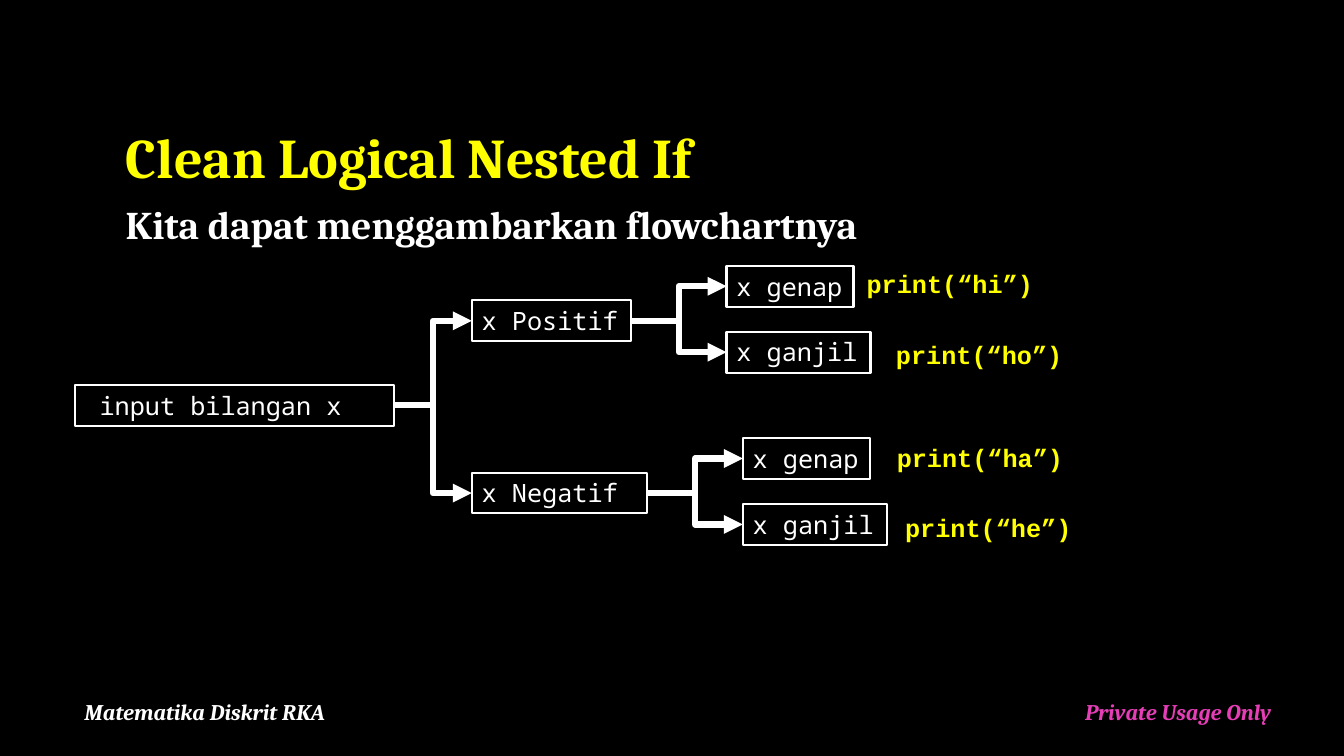
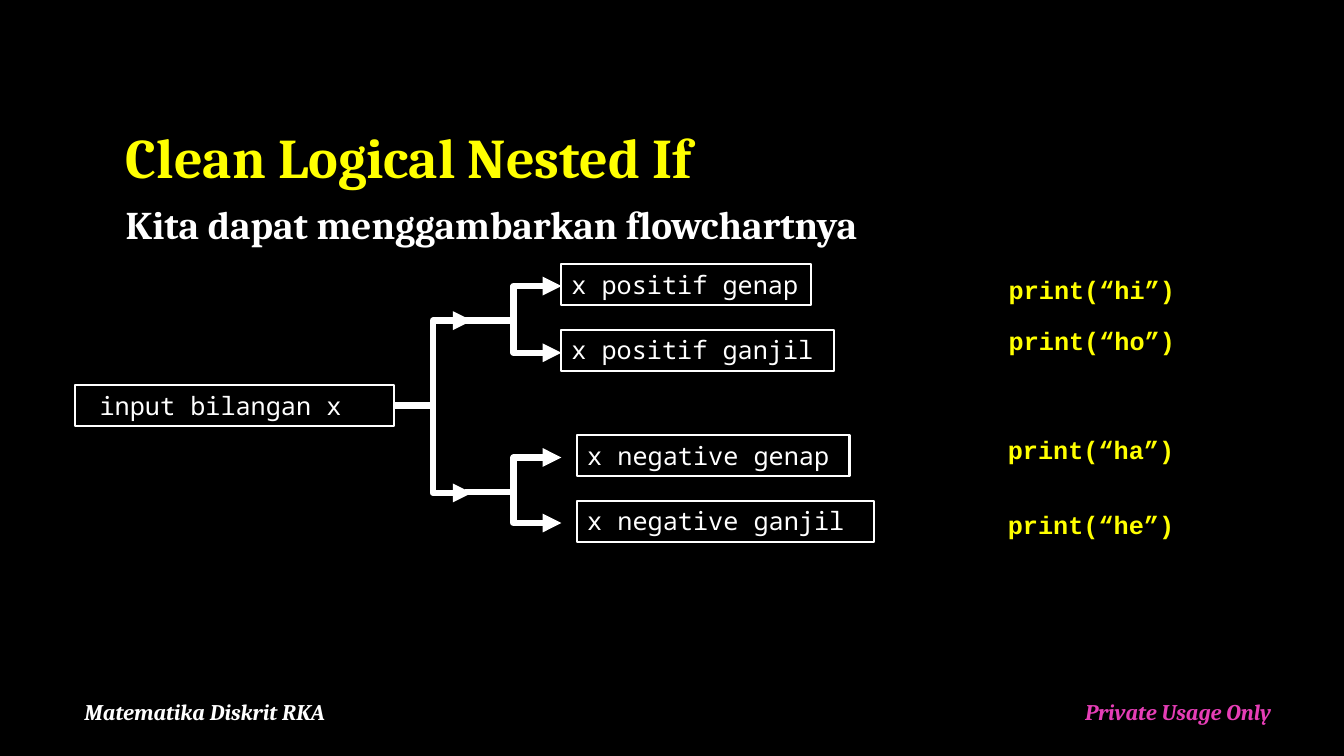
from dataclasses import dataclass
from typing import NamedTuple

from lxml.etree import SubElement
from pptx import Presentation
from pptx.dml.color import RGBColor
from pptx.enum.shapes import MSO_CONNECTOR, MSO_SHAPE
from pptx.enum.text import MSO_ANCHOR, MSO_AUTO_SIZE as AutoSize, PP_ALIGN
from pptx.oxml.ns import qn
from pptx.shapes.autoshape import Shape
from pptx.slide import Slide
from pptx.text.text import TextFrame
from pptx.util import Cm, Length, Pt


@dataclass(frozen=True)
class TextStyle:
    font: str
    size: int
    color: RGBColor
    bold: bool = True
    italic: bool = False
    line_spacing: float = 1.0
    space_before: int = 0


WHITE, YELLOW = RGBColor(0xFF, 0xFF, 0xFF), RGBColor(0xFF, 0xFF, 0x00)
PINK = RGBColor(0xE6, 0x3E, 0xB6)
SERIF = "Cambria"


@dataclass(frozen=True)
class Theme:
    background: RGBColor = RGBColor(0x00, 0x00, 0x00)
    line: RGBColor = WHITE
    box_line: Length = Pt(1.5)
    arrow_line: Length = Pt(4.5)
    title: TextStyle = TextStyle(SERIF, 40, YELLOW, line_spacing=0.9)
    subtitle: TextStyle = TextStyle(SERIF, 28, WHITE)
    course: TextStyle = TextStyle(SERIF, 16, WHITE, True, True, 0.9, 10)
    usage: TextStyle = TextStyle(SERIF, 16, PINK, True, True, 0.9, 10)
    condition: TextStyle = TextStyle("Noto Sans Mono", 18, WHITE, bold=False)
    output: TextStyle = TextStyle("Courier New", 18, YELLOW)


THEME = Theme()
ROW_HEIGHT = Cm(1.03)
INSET = Cm(0.25)
BOTTOM, LEFT, RIGHT = 2, 1, 3


class Point(NamedTuple):
    x: Length
    y: Length


@dataclass(frozen=True)
class Condition:
    text: str
    left: float
    top: float
    width: float
    inset: Length = INSET


@dataclass(frozen=True)
class Output:
    text: str
    left: float
    top: float


INPUT = Condition("input bilangan x", 1.88, 9.7, 8.05, inset=Cm(0.63))
SIGNS = (
    Condition("x Positif", 11.89, 7.57, 4.01),
    Condition("x Negatif", 11.89, 11.91, 4.42),
)
PARITIES = (
    (Condition("x genap", 18.31, 6.7, 3.2), Condition("x ganjil", 18.31, 8.36, 3.63)),
    (Condition("x genap", 18.72, 11.04, 3.2), Condition("x ganjil", 18.72, 12.7, 3.63)),
)
NESTED_OUTPUTS = (
    Output("print(“hi”)", 21.59, 6.63),
    Output("print(“ho”)", 22.33, 8.43),
    Output("print(“ha”)", 22.35, 11.02),
    Output("print(“he”)", 22.56, 12.78),
)
COMBINED = (
    Condition("x positif genap", 14.15, 6.65, 6.3),
    Condition("x positif ganjil", 14.15, 8.31, 6.86),
    Condition("x negative genap", 14.55, 10.97, 6.86),
    Condition("x negative ganjil", 14.55, 12.62, 7.47),
)
COMBINED_OUTPUTS = (
    Output("print(“hi”)", 25.17, 6.78),
    Output("print(“ho”)", 25.17, 8.08),
    Output("print(“ha”)", 25.15, 10.82),
    Output("print(“he”)", 25.15, 12.7),
)
SIGN_TIPS = (Point(Cm(11.89), Cm(8.08)), Point(Cm(11.89), Cm(12.42)))
FORK_START_X, FORK_TIP_X = Cm(11.73), Cm(14.15)
FORK_ROWS = ((8.08, (7.21, 8.89)), (12.4, (11.53, 13.18)))  # start, tips


def write(frame: TextFrame, text: str, style: TextStyle) -> None:
    frame.text = text
    paragraph = frame.paragraphs[0]
    paragraph.alignment = PP_ALIGN.LEFT
    paragraph.line_spacing = style.line_spacing
    paragraph.space_before = Pt(style.space_before)
    font = paragraph.font
    font.name, font.size = style.font, Pt(style.size)
    font.bold, font.italic = style.bold, style.italic
    font.color.rgb = style.color


def add_text(slide: Slide, text: str, style: TextStyle, left: float, top: float,
             width: float, height: Length, wrap: bool = True) -> None:
    frame = slide.shapes.add_textbox(Cm(left), Cm(top), Cm(width), height).text_frame
    frame.word_wrap = wrap
    write(frame, text, style)


def add_condition(slide: Slide, condition: Condition) -> Shape:
    box = slide.shapes.add_shape(
        MSO_SHAPE.RECTANGLE, Cm(condition.left), Cm(condition.top),
        Cm(condition.width), ROW_HEIGHT)
    box.shadow.inherit = False
    box.fill.background()
    box.line.color.rgb = THEME.line
    box.line.width = THEME.box_line
    frame = box.text_frame
    frame.word_wrap = True
    frame.auto_size = AutoSize.SHAPE_TO_FIT_TEXT
    frame.vertical_anchor = MSO_ANCHOR.TOP
    frame.margin_left = condition.inset
    write(frame, condition.text, THEME.condition)
    return box


def add_outputs(slide: Slide, outputs: tuple[Output, ...]) -> None:
    for output in outputs:
        add_text(slide, output.text, THEME.output, output.left, output.top,
                 4.72, ROW_HEIGHT, wrap=False)


def side_point(end: Shape | Point, side: int) -> Point:
    """Middle of a box's left or right side; a free point stays as it is."""
    if isinstance(end, Point):
        return end
    x = end.left + (end.width if side == RIGHT else 0)
    return Point(Length(x), Length(end.top + end.height // 2))


def add_fork(slide: Slide, start: Shape | Point, tips: list[Shape | Point]) -> None:
    """Elbow arrows from one start to each tip, glued wherever an end is a box."""
    for tip in tips:
        arrow = slide.shapes.add_connector(
            MSO_CONNECTOR.ELBOW, *side_point(start, RIGHT), *side_point(tip, LEFT))
        if not isinstance(start, Point):
            arrow.begin_connect(start, RIGHT)
        if not isinstance(tip, Point):
            arrow.end_connect(tip, LEFT)
        arrow.line.color.rgb = THEME.line
        arrow.line.width = THEME.arrow_line
        properties = arrow.line._get_or_add_ln()
        SubElement(properties, qn("a:tailEnd"), type="triangle")
        SubElement(properties.getparent(), qn("a:effectLst"))


def add_flowchart_slide(prs: Presentation) -> tuple[Slide, Shape]:
    """Slide with headings, footers and the input box the flowchart starts from."""
    slide = prs.slides.add_slide(prs.slide_layouts[5])
    title = slide.shapes.title
    title.left, title.top, title.width, title.height = map(Cm, (2.92, 2.03, 29.64, 2.9))
    title.text_frame.auto_size = AutoSize.NONE
    title.text_frame.vertical_anchor = MSO_ANCHOR.BOTTOM
    write(title.text_frame, "Clean Logical Nested If", THEME.title)
    add_text(slide, "Kita dapat menggambarkan flowchartnya", THEME.subtitle,
             2.92, 4.93, 28.27, Cm(1.45))
    add_text(slide, "Private Usage Only", THEME.usage, 27.1, 17.55, 6.76, Cm(1.3))
    add_text(slide, "Matematika Diskrit RKA", THEME.course, 1.88, 17.55, 25.4, Cm(1.3))
    return slide, add_condition(slide, INPUT)


def build_nested_slide(prs: Presentation) -> None:
    slide, start = add_flowchart_slide(prs)
    signs = [add_condition(slide, sign) for sign in SIGNS]
    add_fork(slide, start, signs)
    for sign, parities in zip(signs, PARITIES):
        add_fork(slide, sign, [add_condition(slide, parity) for parity in parities])
    add_outputs(slide, NESTED_OUTPUTS)


def build_combined_slide(prs: Presentation) -> None:
    slide, start = add_flowchart_slide(prs)
    add_fork(slide, start, list(SIGN_TIPS))
    for condition in COMBINED:
        add_condition(slide, condition)
    for start_y, tip_rows in FORK_ROWS:
        add_fork(slide, Point(FORK_START_X, Cm(start_y)),
                 [Point(FORK_TIP_X, Cm(y)) for y in tip_rows])
    add_outputs(slide, COMBINED_OUTPUTS)


def main() -> None:
    prs = Presentation()
    prs.slide_width, prs.slide_height = Cm(33.87), Cm(19.05)
    background = prs.slide_master.background.fill
    background.solid()
    background.fore_color.rgb = THEME.background
    build_nested_slide(prs)
    build_combined_slide(prs)
    prs.save("out.pptx")


if __name__ == "__main__":
    main()
